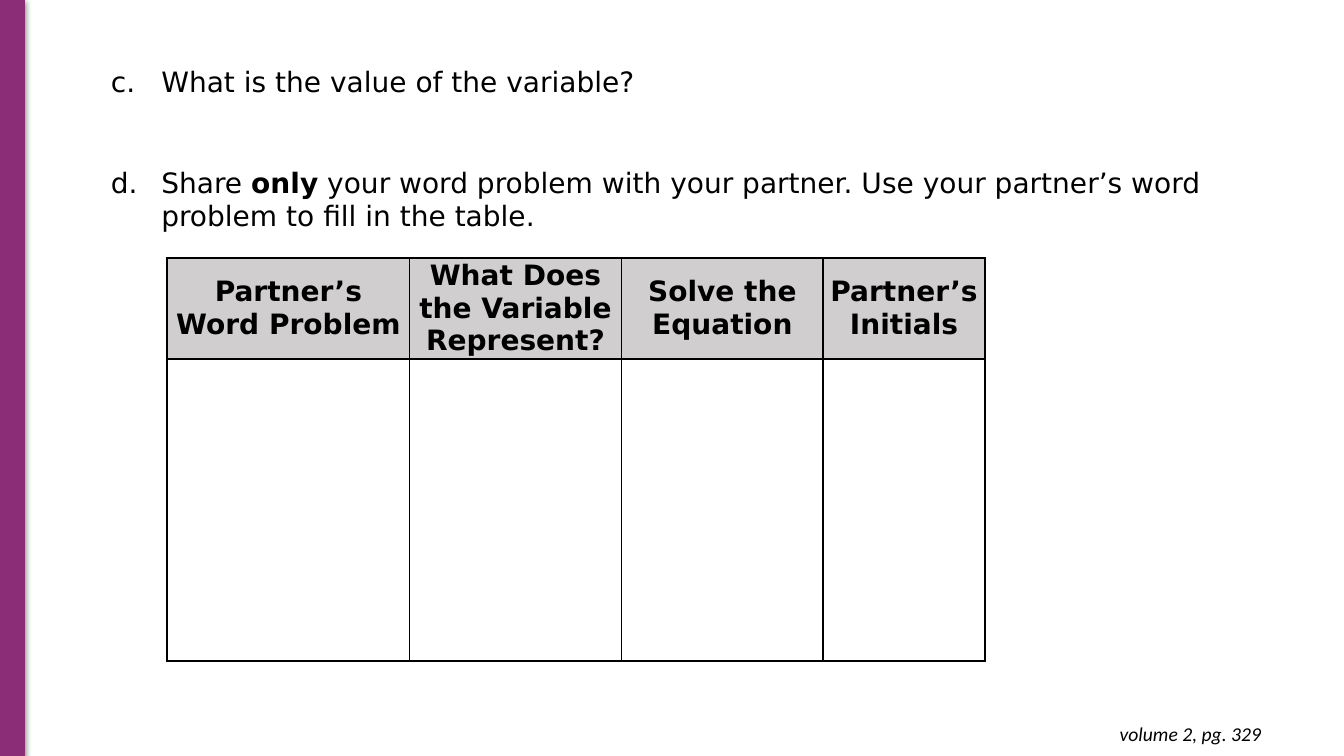
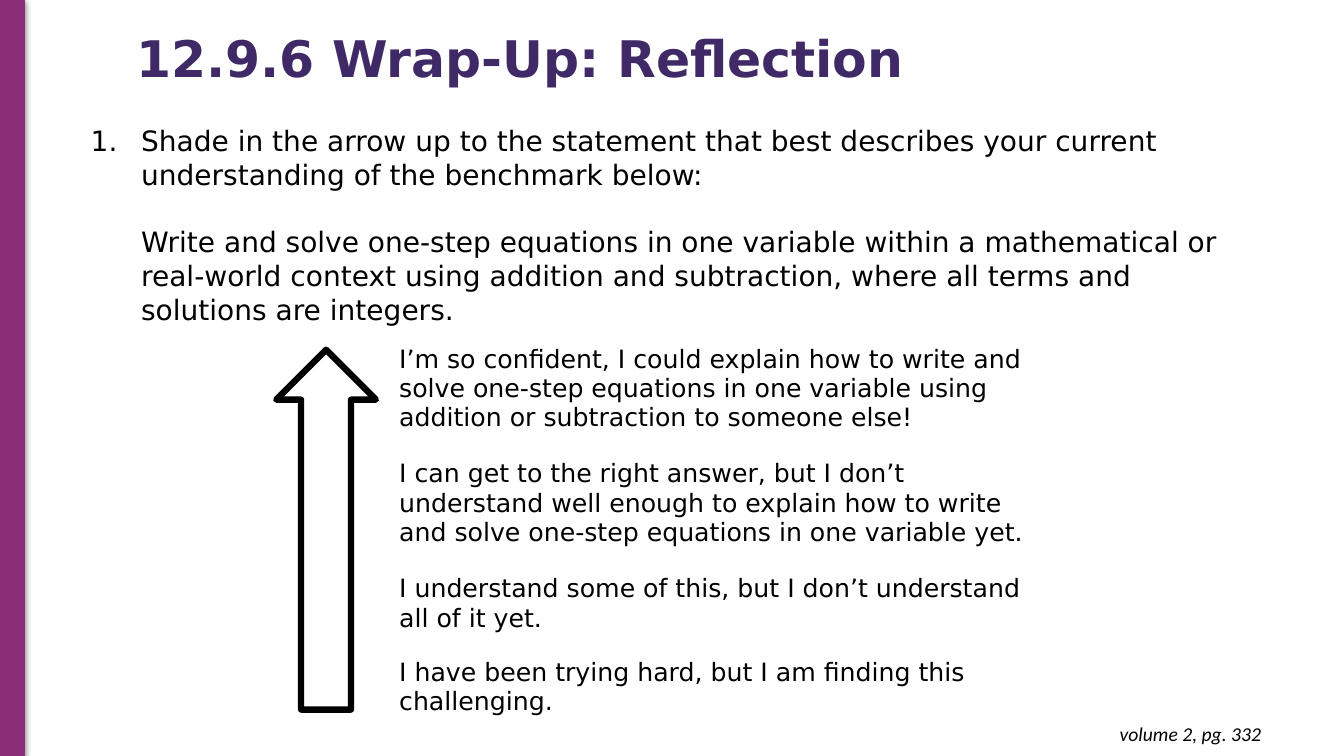
from collections import namedtuple

from lxml import etree
from pptx import Presentation
from pptx.dml.color import RGBColor
from pptx.enum.shapes import MSO_SHAPE
from pptx.enum.text import MSO_ANCHOR, MSO_AUTO_SIZE, PP_ALIGN
from pptx.oxml.ns import qn
from pptx.util import Inches, Pt

RECTANGLE, UP_ARROW = MSO_SHAPE.RECTANGLE, MSO_SHAPE.UP_ARROW
LEFT, CENTER, RIGHT = PP_ALIGN.LEFT, PP_ALIGN.CENTER, PP_ALIGN.RIGHT
TOP, MIDDLE = MSO_ANCHOR.TOP, MSO_ANCHOR.MIDDLE
NO_AUTOFIT = MSO_AUTO_SIZE.NONE

COLORS = {"band": "8B2D77", "title": "3F2A67", "ink": "000000", "header": "D0CECE"}
TEXT_FONT, FOOTER_FONT = "DejaVu Sans", "Calibri"
PLAIN_TABLE_STYLE = "{2D5ABB26-0587-4C30-8999-92F81FD0307C}"

Box = namedtuple("Box", "left top width height")
SLIDE = Box(0, 0, Inches(13.33), Inches(7.5))


def region(parent, left, top, width, height):
    return Box(
        int(parent.left + parent.width * left / 100),
        int(parent.top + parent.height * top / 100),
        int(parent.width * width / 100),
        int(parent.height * height / 100),
    )


BAND = region(SLIDE, 0, 0, 1.8, 100)
FOOTER = region(SLIDE, 72.98, 94.13, 21.6, 5.87)
TITLE = region(SLIDE, 9.38, 3.73, 65.78, 8.67)
QUESTIONS = region(SLIDE, 7.5, 7.87, 86.25, 23.73)
PARTNER_TABLE = region(SLIDE, 12.45, 34.13, 60.83, 53.33)
BENCHMARK = region(SLIDE, 6, 15.73, 86.25, 28.27)
REFLECTION = region(SLIDE, 20.55, 45.07, 56.56, 50.13)


def rgb(name):
    return RGBColor.from_string(COLORS[name])


def add_xml(parent, tag, **attributes):
    return etree.SubElement(parent, qn(tag), attributes)


def style_font(font, size, color="ink", name=TEXT_FONT, bold=False, italic=False):
    font.name, font.size = name, Pt(size)
    font.bold, font.italic = bold, italic
    font.color.rgb = rgb(color)


def place(shape, box):
    shape.left, shape.top, shape.width, shape.height = box


def set_margins(target, left, top, right, bottom):
    target.margin_left, target.margin_top = Inches(left), Inches(top)
    target.margin_right, target.margin_bottom = Inches(right), Inches(bottom)


def add_band(slide, box):
    band = slide.shapes.add_shape(RECTANGLE, *box)
    band.fill.solid()
    band.fill.fore_color.rgb = band.line.color.rgb = rgb("band")
    band.line.width = Pt(0.75)
    band.shadow.inherit = False
    effects = band.element.spPr.find(qn("a:effectLst"))
    shadow = add_xml(effects, "a:outerShdw", blurRad=str(Pt(4.5)), dist=str(Pt(1.5)),
                     dir="5400000", rotWithShape="0")
    add_xml(add_xml(shadow, "a:srgbClr", val=COLORS["ink"]), "a:alpha", val="50000")


def add_footer(slide, box, page):
    frame = slide.shapes.add_textbox(*box).text_frame
    frame.word_wrap = True
    set_margins(frame, 0.1, 0.1, 0.1, 0.1)
    reference = frame.paragraphs[0]
    reference.text = f"volume 2, pg. {page}"
    reference.alignment = RIGHT
    style_font(reference.runs[0].font, 14, name=FOOTER_FONT, italic=True)


def add_page(deck, page):
    slide = deck.slides.add_slide(deck.slide_layouts[1])
    add_band(slide, BAND)
    add_footer(slide, FOOTER, page)
    return slide


def fill_title(slide, box, text):
    place(slide.shapes.title, box)
    frame = slide.shapes.title.text_frame
    frame.text = text
    frame.auto_size, frame.vertical_anchor = NO_AUTOFIT, MIDDLE
    heading = frame.paragraphs[0]
    heading.alignment, heading.line_spacing = LEFT, 0.9
    style_font(heading.runs[0].font, 36, "title", bold=True)


def fill_body(slide, box, items, gap, start=1):
    body = slide.placeholders[1]
    place(body, box)
    frame = body.text_frame
    frame.auto_size, frame.vertical_anchor = NO_AUTOFIT, TOP
    for index, (numbering, pieces) in enumerate(items):
        item = frame.add_paragraph() if index else frame.paragraphs[0]
        item.space_before = Pt(gap if index else 0)
        item.alignment = LEFT
        properties = item._p.get_or_add_pPr()
        properties.set("marL", str(Inches(0.5)))
        properties.set("indent", str(Inches(-0.5) if numbering else 0))
        if numbering:
            bullet_color = add_xml(properties, "a:buClr")
            add_xml(bullet_color, "a:srgbClr", val=COLORS["ink"])
            add_xml(properties, "a:buFont", typeface="+mj-lt")
            add_xml(properties, "a:buAutoNum", type=numbering, startAt=str(start))
        else:
            add_xml(properties, "a:buNone")
        for text, bold in pieces:
            run = item.add_run()
            run.text = text
            style_font(run.font, 20, bold=bold)


def add_plain_table(slide, box, column_shares, row_shares):
    frame = slide.shapes.add_table(len(row_shares), len(column_shares), *box)
    next(frame.element.iter(qn("a:tableStyleId"))).text = PLAIN_TABLE_STYLE
    table = frame.table
    table.first_row = table.horz_banding = False
    for column, share in zip(table.columns, column_shares):
        column.width = int(box.width * share / sum(column_shares))
    for row, share in zip(table.rows, row_shares):
        row.height = int(box.height * share / sum(row_shares))
    for cell in table.iter_cells():
        cell.fill.background()
    return table


def add_borders(cell):
    properties = cell._tc.get_or_add_tcPr()
    for index, side in enumerate(("a:lnL", "a:lnR", "a:lnT", "a:lnB")):
        border = etree.Element(qn(side), w=str(Pt(1.5)))
        add_xml(add_xml(border, "a:solidFill"), "a:srgbClr", val=COLORS["ink"])
        properties.insert(index, border)


def add_partner_table(slide, box, headings):
    table = add_plain_table(slide, box, (2.4, 2.1, 2, 1.6), (1, 3))
    for cell in table.iter_cells():
        add_borders(cell)
    for column, text in enumerate(headings):
        cell = table.cell(0, column)
        cell.fill.solid()
        cell.fill.fore_color.rgb = rgb("header")
        cell.vertical_anchor = MIDDLE
        set_margins(cell, 0.07, 0, 0.07, 0)
        heading = cell.text_frame.paragraphs[0]
        heading.text = text
        heading.alignment = CENTER
        style_font(heading.runs[0].font, 20, bold=True)


def add_reflection(slide, box, statements):
    scale = region(box, 12.73, 0, 87.27, 100)
    table = add_plain_table(slide, scale, (0.18, 6.4), (1.14, 1.14, 0.83, 0.65))
    set_margins(table.cell(0, 0), 0, 0, 0, 0)
    table.cell(0, 0).merge(table.cell(len(statements) - 1, 0))
    for row, text in enumerate(statements):
        cell = table.cell(row, 1)
        set_margins(cell, 0.08, 0.04, 0.08, 0)
        cell.text_frame.text = text
        style_font(cell.text_frame.paragraphs[0].runs[0].font, 18)

    arrow = slide.shapes.add_shape(UP_ARROW, *region(box, 0, 2.39, 13.13, 94.95))
    arrow.fill.background()
    arrow.line.color.rgb = rgb("ink")
    arrow.line.width = Pt(4.5)
    add_xml(arrow.element.spPr.find(qn("a:ln")), "a:round")
    arrow.shadow.inherit = False


def build_partner_page(deck):
    slide = add_page(deck, 329)
    title = slide.shapes.title.element
    title.getparent().remove(title)
    fill_body(slide, QUESTIONS, [
        ("alphaLcPeriod", [("What is the value of the variable?", False)]),
        ("alphaLcPeriod", [
            ("Share ", False),
            ("only", True),
            (" your word problem with your partner. Use your partner’s word "
             "problem to fill in the table.", False),
        ]),
    ], gap=48, start=3)
    add_partner_table(slide, PARTNER_TABLE, (
        "Partner’s Word Problem", "What Does the Variable Represent?",
        "Solve the Equation", "Partner’s Initials",
    ))


def build_reflection_page(deck):
    slide = add_page(deck, 332)
    fill_title(slide, TITLE, "12.9.6 Wrap-Up: Reflection")
    fill_body(slide, BENCHMARK, [
        ("arabicPeriod", [("Shade in the arrow up to the statement that best describes "
                           "your current understanding of the benchmark below:", False)]),
        (None, [("Write and solve one-step equations in one variable within a "
                 "mathematical or real-world context using addition and subtraction, "
                 "where all terms and solutions are integers.", False)]),
    ], gap=24)
    add_reflection(slide, REFLECTION, (
        "I’m so confident, I could explain how to write and solve one-step equations "
        "in one variable using addition or subtraction to someone else!",
        "I can get to the right answer, but I don’t understand well enough to explain "
        "how to write and solve one-step equations in one variable yet.",
        "I understand some of this, but I don’t understand all of it yet.",
        "I have been trying hard, but I am finding this challenging.",
    ))


def main():
    deck = Presentation()
    deck.slide_width, deck.slide_height = SLIDE.width, SLIDE.height
    build_partner_page(deck)
    build_reflection_page(deck)
    deck.save("out.pptx")


if __name__ == "__main__":
    main()
